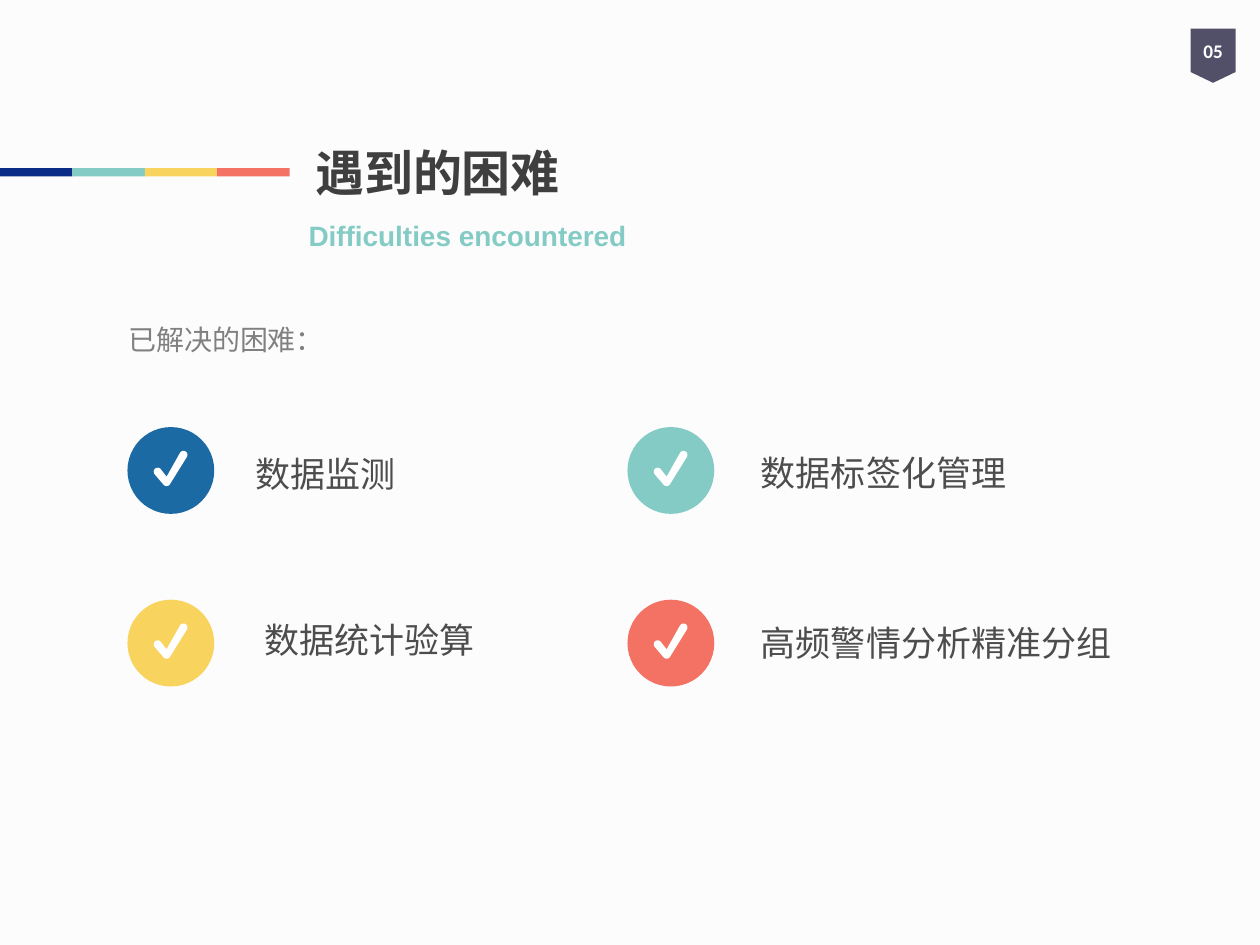
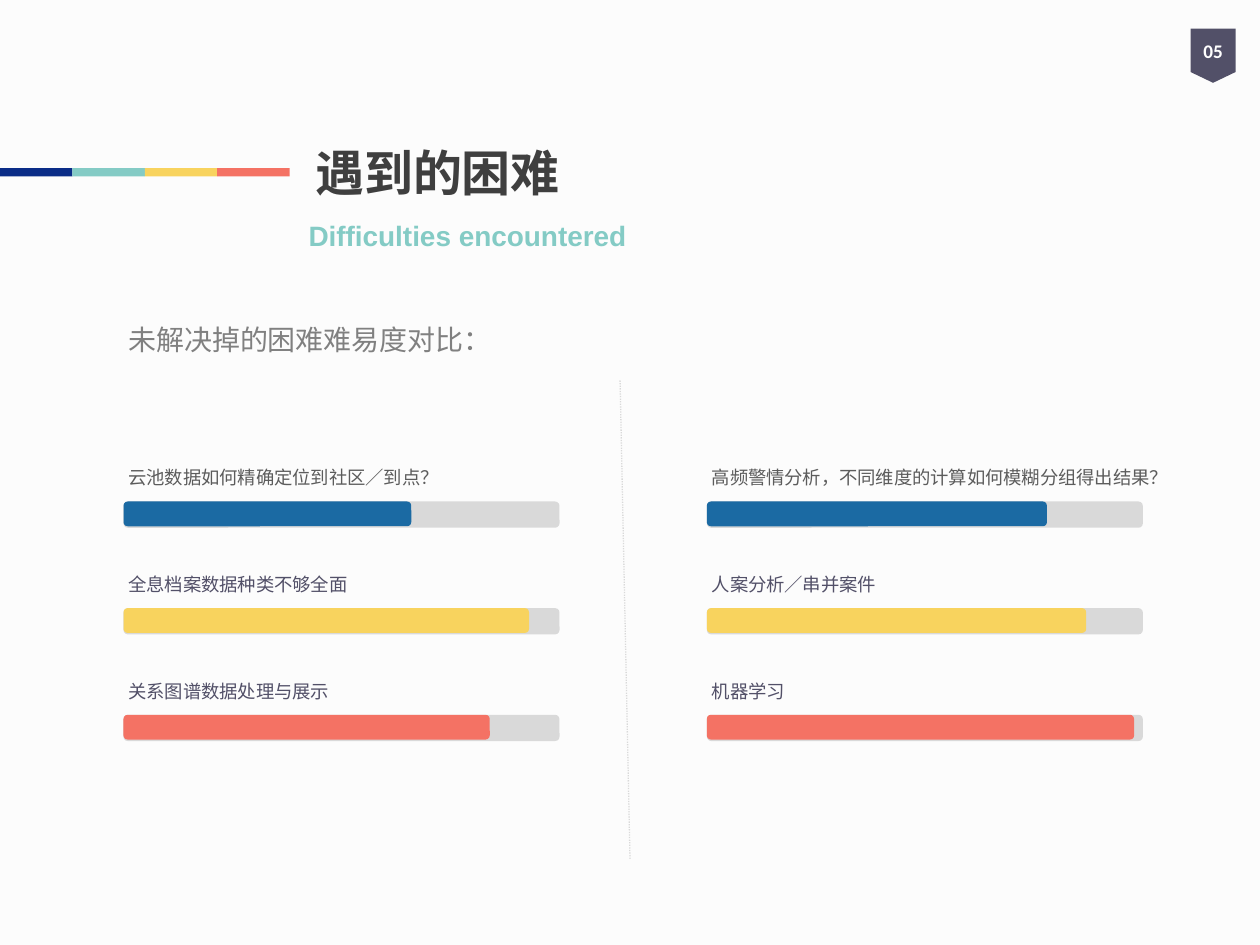
import math

from lxml import etree
from pptx import Presentation
from pptx.dml.color import RGBColor
from pptx.enum import dml, shapes, text
from pptx.oxml import ns
from pptx.util import Cm, Pt

# Shared colours and fonts
PAPER = RGBColor(0xFC, 0xFC, 0xFC)
WHITE = RGBColor(0xFF, 0xFF, 0xFF)
SLATE = RGBColor(0x52, 0x50, 0x68)
NAVY = RGBColor(0x0A, 0x2C, 0x87)
BLUE = RGBColor(0x1B, 0x6A, 0xA3)
TEAL = RGBColor(0x84, 0xCB, 0xC5)
YELLOW = RGBColor(0xF8, 0xD3, 0x5E)
CORAL = RGBColor(0xF4, 0x72, 0x64)
TITLE_INK = RGBColor(0x3F, 0x3F, 0x3F)
ITEM_INK = RGBColor(0x4D, 0x4D, 0x4D)
QUESTION_INK = RGBColor(0x5C, 0x5C, 0x5C)
CAPTION_INK = RGBColor(0x80, 0x80, 0x80)
TRACK = RGBColor(0xD9, 0xD9, 0xD9)
CJK = "Noto Sans CJK SC"

PRESET = shapes.MSO_SHAPE
MIDDLE = text.MSO_ANCHOR.MIDDLE
TOP = text.MSO_ANCHOR.TOP

# Layout, in centimetres
CIRCLE = 1.75
TRACK_WIDTH, TRACK_HEIGHT, FILL_HEIGHT = 8.79, 0.53, 0.5
BAR_TOP, BAR_PITCH = 10.11, 2.15


def write(frame, words, size, color, font=CJK, bold=False,
          align=text.PP_ALIGN.LEFT, anchor=TOP):
    """Put one formatted line of text in a frame."""
    frame.word_wrap = True
    frame.auto_size = text.MSO_AUTO_SIZE.NONE
    frame.vertical_anchor = anchor
    line = frame.paragraphs[0]
    line.alignment = align
    run = line.add_run()
    run.text = words
    run.font.size = Pt(size)
    run.font.bold = bold
    run.font.color.rgb = color
    run.font.name = font
    east_asian = etree.SubElement(run.font._element, ns.qn("a:ea"))
    east_asian.set("typeface", font)


def label(slide, words, left, top, width, height, **style):
    box = slide.shapes.add_textbox(Cm(left), Cm(top), Cm(width), Cm(height))
    write(box.text_frame, words, **style)


def paint(shape, color):
    shape.shadow.inherit = False
    shape.fill.solid()
    shape.fill.fore_color.rgb = color
    shape.line.fill.background()
    return shape


def block(parent, preset, color, left, top, width, height):
    return paint(parent.shapes.add_shape(
        preset, Cm(left), Cm(top), Cm(width), Cm(height)), color)


def arc(center, start, end, radius=0.08, steps=12):
    """Points on a circle, angles in radians, clockwise."""
    angles = [start + (end - start) * i / steps for i in range(steps + 1)]
    return [(center[0] + radius * math.cos(a), center[1] + radius * math.sin(a))
            for a in angles]


def tick_outline():
    """Check mark with round ends, measured from the circle's corner."""
    tail, elbow, tip = (0.61, 0.90), (0.79, 1.11), (1.13, 0.56)
    down = math.atan2(elbow[1] - tail[1], elbow[0] - tail[0])
    up = math.atan2(tip[1] - elbow[1], tip[0] - elbow[0])
    quarter = math.pi / 2
    return (arc(tail, down + quarter, down + 3 * quarter) + [(0.79, 1.0)]
            + arc(tip, up - quarter, up + quarter)
            + arc(elbow, up + quarter, down + quarter))


def check_badge(slide, color, left, top):
    badge = slide.shapes.add_group_shape()
    block(badge, PRESET.OVAL, color, left, top, CIRCLE, CIRCLE)
    points = [(Cm(left + x), Cm(top + y)) for x, y in tick_outline()]
    tick = badge.shapes.build_freeform(*points[0])
    tick.add_line_segments(points[1:], close=True)
    paint(tick.convert_to_shape(), WHITE)


def progress_bar(slide, question, ink, color, share, left, top):
    for width, height, shade in ((TRACK_WIDTH, TRACK_HEIGHT, TRACK),
                                 (TRACK_WIDTH * share, FILL_HEIGHT, color)):
        block(slide, PRESET.ROUNDED_RECTANGLE, shade, left, top, width, height)
    label(slide, question, left - 0.15, top - 0.83, 9.7, 0.71,
          size=10.5, color=ink)


def divider(slide):
    line = slide.shapes.add_connector(
        shapes.MSO_CONNECTOR.STRAIGHT, Cm(12.5), Cm(7.67), Cm(12.7), Cm(17.32))
    line.line.color.rgb = TRACK
    line.line.width = Pt(0.75)
    line.line.dash_style = dml.MSO_LINE.ROUND_DOT
    etree.SubElement(line._element.spPr, ns.qn("a:effectLst"))


def headed_slide(deck, caption):
    """Slide with the shared title, stripe, page flag and a caption."""
    slide = deck.slides.add_slide(deck.slide_layouts.get_by_name("Title Only"))

    # Page flag
    flag = block(slide, PRESET.FLOWCHART_OFFPAGE_CONNECTOR, SLATE,
                 24, 0.58, 0.91, 1.09)
    flag.text_frame.margin_left = flag.text_frame.margin_right = 0
    write(flag.text_frame, "05", size=11, color=WHITE, font="Calibri",
          bold=True, align=text.PP_ALIGN.CENTER, anchor=MIDDLE)

    # Title and its translation
    title = slide.shapes.title
    title.left, title.top = Cm(6.1), Cm(2.51)
    title.width, title.height = Cm(11.81), Cm(1.9)
    write(title.text_frame, "遇到的困难", size=28, color=TITLE_INK,
          bold=True, anchor=MIDDLE)
    label(slide, "Difficulties encountered", 5.97, 4.01, 14.2, 1.47,
          size=16, color=TEAL, font="Arial", bold=True, anchor=MIDDLE)

    # Colour stripe
    stripe = slide.shapes.add_group_shape()
    for i, color in enumerate((NAVY, TEAL, YELLOW, CORAL)):
        block(stripe, PRESET.RECTANGLE, color, i * 1.46, 3.39, 1.46, 0.17)

    label(slide, caption, 2.34, 6.38, 9.2, 0.94, size=16, color=CAPTION_INK)
    return slide


def solved_slide(deck):
    slide = headed_slide(deck, "已解决的困难：")
    solved = (
        ("数据监测", BLUE, 4.9, 8.56),
        ("数据标签化管理", TEAL, 15.09, 8.53),
        ("数据统计验算", YELLOW, 5.08, 11.91),
        ("高频警情分析精准分组", CORAL, 15.09, 11.96),
    )
    for i, (item, color, left, top) in enumerate(solved):
        row, column = divmod(i, 2)
        check_badge(slide, color, 2.57 + column * 10.08, 8.61 + row * 3.48)
        label(slide, item, left, top, 8, 1.98,
              size=20, color=ITEM_INK, anchor=MIDDLE)


def unsolved_slide(deck):
    slide = headed_slide(deck, "未解决掉的困难难易度对比：")
    divider(slide)
    columns = {
        2.49: (("云池数据如何精确定位到社区／到点？", 0.66),
               ("全息档案数据种类不够全面", 0.93),
               ("关系图谱数据处理与展示", 0.84)),
        14.25: (("高频警情分析，不同维度的计算如何模糊分组得出结果？", 0.78),
                ("人案分析／串并案件", 0.87),
                ("机器学习", 0.98)),
    }
    row_styles = ((QUESTION_INK, BLUE), (SLATE, YELLOW), (SLATE, CORAL))
    for left, questions in columns.items():
        for row, (question, share) in enumerate(questions):
            ink, color = row_styles[row]
            progress_bar(slide, question, ink, color, share,
                         left, BAR_TOP + row * BAR_PITCH)


def main():
    deck = Presentation()
    deck.slide_width, deck.slide_height = Cm(25.4), Cm(19.05)
    backdrop = deck.slide_master.background.fill
    backdrop.solid()
    backdrop.fore_color.rgb = PAPER
    solved_slide(deck)
    unsolved_slide(deck)
    deck.save("out.pptx")


if __name__ == "__main__":
    main()
